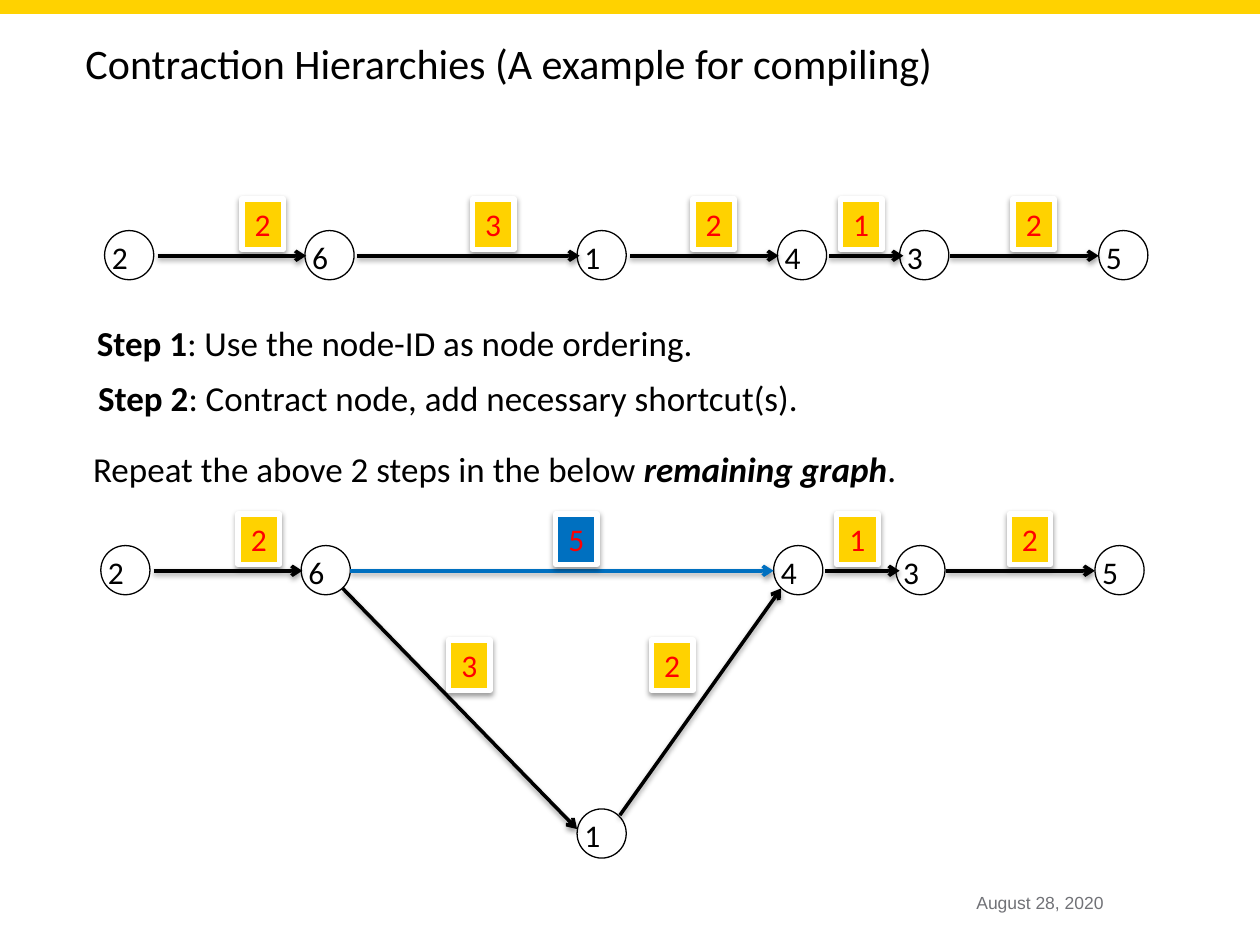
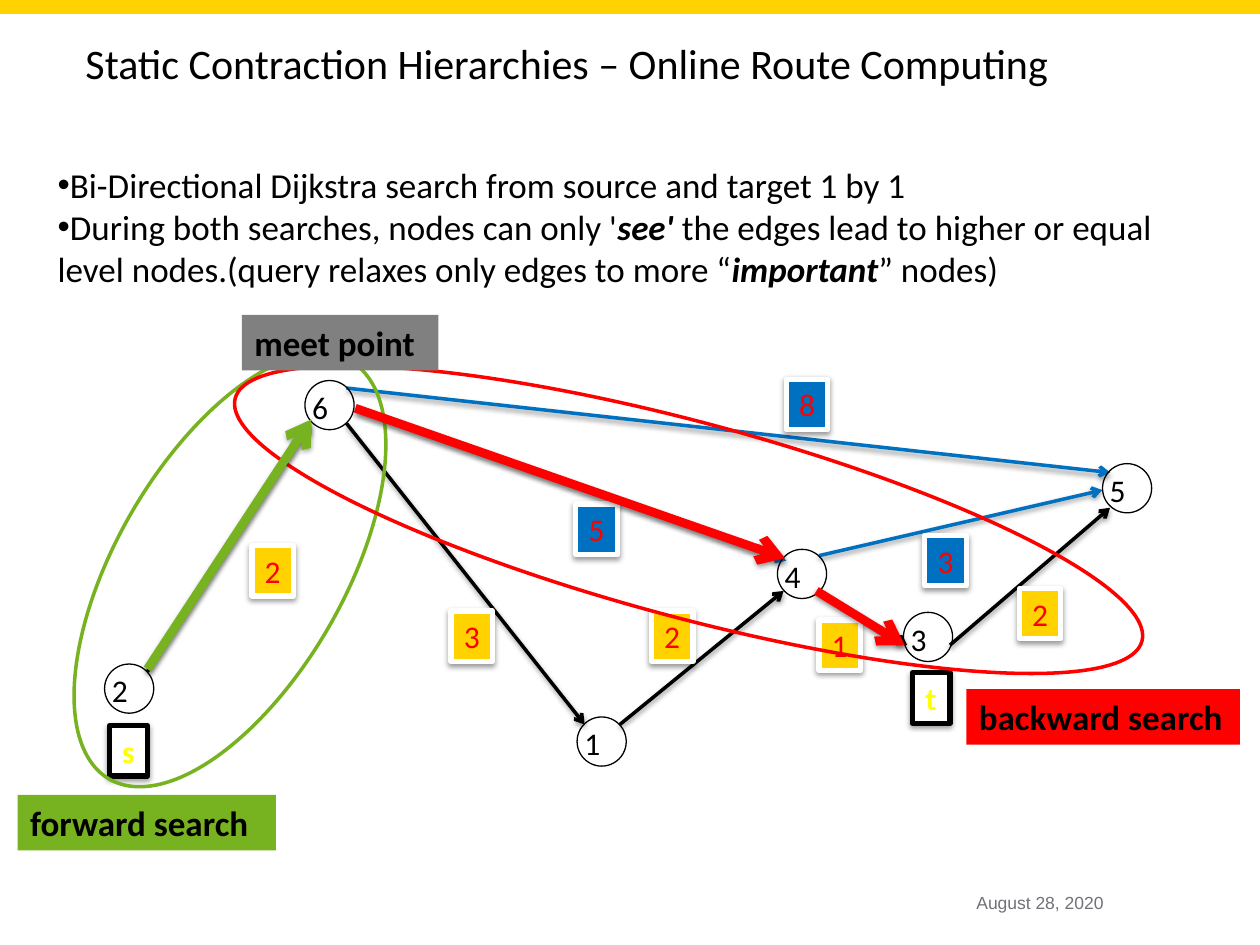
from lxml.etree import SubElement
from pptx import Presentation
from pptx.dml.color import RGBColor
from pptx.enum.shapes import MSO_CONNECTOR as LINE, MSO_SHAPE as SHAPE
from pptx.enum.text import MSO_ANCHOR as ANCHOR, MSO_AUTO_SIZE as FIT, PP_ALIGN as ALIGN
from pptx.oxml.ns import qn
from pptx.util import Inches, Pt

BLACK, WHITE, GOLD, BLUE = "000000", "FFFFFF", "FFD200", "0070C0"
GREEN, RED, GREY, YELLOW, DATE_GREY = "77B220", "FF0000", "808080", "FFFF00", "717277"
BOLD = {"bold": True}
BOLD_ITALIC = {"bold": True, "italic": True}
NODE_SIZE = 0.39


def rgb(color):
    return RGBColor.from_string(color)


class Deck:
    """Hold the shared style and the current slide."""

    def __init__(self):
        self.prs = Presentation()
        self.prs.slide_width, self.prs.slide_height = Inches(10), Inches(7.5)
        self.s = None

    def slide(self, title):
        self.s = self.prs.slides.add_slide(self.prs.slide_layouts[6])
        self.shape(SHAPE.RECTANGLE, (0, 0, 10, 0.11), fill=GOLD, line=GOLD)
        self.text((7.75, 7.08, 1.33, 0.28), [["August 28, 2020"]],
                  size=10, color=DATE_GREY, name="Arial", inset=0)
        self.text((0.58, 0.25, 8.68, 0.5), [[title]], size=24)

    def fill_text(self, sp, paragraphs, size=20, color=BLACK, name="Calibri", inset=None,
                  wrap=True, align=ALIGN.LEFT, bullet=None, **style):
        tf = sp.text_frame
        frame = {"word_wrap": wrap, "auto_size": FIT.NONE, "vertical_anchor": ANCHOR.TOP}
        if inset is not None:
            for side in ("left", "top", "right", "bottom"):
                frame[f"margin_{side}"] = Inches(inset)
        for key, value in frame.items():
            setattr(tf, key, value)
        for i, runs in enumerate(paragraphs):
            p = tf.add_paragraph() if i else tf.paragraphs[0]
            p.alignment = align
            if bullet:
                pPr = p._p.get_or_add_pPr()
                SubElement(pPr, qn("a:buFont"), typeface="Arial")
                SubElement(pPr, qn("a:buChar"), char=bullet)
            for run in runs:
                words, extra = (run, {}) if isinstance(run, str) else run
                r = p.add_run()
                r.text = words
                r.font.color.rgb = rgb(color)
                for key, value in {"size": Pt(size), "name": name, **style, **extra}.items():
                    setattr(r.font, key, value)

    def text(self, box, paragraphs, **style):
        sp = self.s.shapes.add_textbox(*map(Inches, box))
        self.fill_text(sp, paragraphs, **style)

    def shape(self, kind, box, fill=None, line=None, width=0.75, rotation=0):
        sp = self.s.shapes.add_shape(kind, *map(Inches, box))
        sp.shadow.inherit = False
        sp.rotation = rotation
        for part, color in ((sp.fill, fill), (sp.line.fill, line)):
            if color:
                part.solid()
                part.fore_color.rgb = rgb(color)
            else:
                part.background()
        if line:
            sp.line.width = Pt(width)
        return sp

    def shadow(self, effects):
        outer = SubElement(effects, qn("a:outerShdw"), blurRad=str(Pt(3.1)),
                           dist=str(Pt(1.6)), dir="5400000", rotWithShape="0")
        color = SubElement(outer, qn("a:srgbClr"), val=BLACK)
        SubElement(color, qn("a:alpha"), val="38000")

    def edge(self, start, end, color=BLACK, width=2):
        c = self.s.shapes.add_connector(LINE.STRAIGHT, *map(Inches, (*start, *end)))
        c.line.color.rgb = rgb(color)
        c.line.width = Pt(width)
        SubElement(c.line._get_or_add_ln(), qn("a:tailEnd"), type="arrow")
        self.shadow(SubElement(c._element.spPr, qn("a:effectLst")))

    def boxed(self, x, y, words, width=0.33, fill=GOLD, line=WHITE, color=RED, **style):
        sp = self.shape(SHAPE.RECTANGLE, (x, y, width, 0.4), fill, line, 3)
        self.shadow(sp._element.spPr.find(qn("a:effectLst")))
        self.fill_text(sp, [[words]], size=18, color=color, wrap=False,
                       align=ALIGN.CENTER, **style)

    def node(self, x, y, words):
        sp = self.shape(SHAPE.OVAL, (x, y, NODE_SIZE, NODE_SIZE), line=BLACK)
        self.fill_text(sp, [[words]], size=18, inset=0)

    def tag(self, x, y, width, words, fill):
        sp = self.shape(SHAPE.RECTANGLE, (x, y, width, 0.44), fill)
        self.fill_text(sp, [[words]], **BOLD)

    def chain(self, x, y):
        """Draw the nodes and edges that both stages of the graph share."""
        for start, end, label, weight in ((0.42, 1.6, 1.09, "2"), (5.75, 6.34, 5.84, "1"),
                                          (6.71, 7.89, 7.21, "2")):
            self.edge((x + start, y + 0.2), (x + end, y + 0.2))
            self.boxed(x + label, y - 0.25, weight)
        for dx, words in ((0, "2"), (1.59, "6"), (5.34, "4"), (6.31, "3"), (7.89, "5")):
            self.node(x + dx, y, words)


def compiling_slide(deck):
    deck.slide("Contraction Hierarchies (A example for compiling)")
    deck.chain(0.83, 1.83)
    for start, end, label, weight in ((2.83, 4.6, 3.75, "3"), (5, 6.18, 5.5, "2")):
        deck.edge((start, 2.03), (end, 2.03))
        deck.boxed(label, 1.58, weight)
    deck.node(4.58, 1.83, "1")

    for box, runs in (
        ((0.67, 2.5, 4.97, 0.44), [("Step 1", BOLD), ": Use the node-ID as node ordering."]),
        ((0.68, 2.94, 5.84, 0.44),
         [("Step 2", BOLD), ": Contract node, add necessary shortcut(s)."]),
        ((0.64, 3.5, 6.58, 0.44),
         ["Repeat the above 2 steps in the below ", ("remaining graph", BOLD_ITALIC), "."]),
    ):
        deck.text(box, [runs], wrap=False)

    deck.chain(0.8, 4.33)
    deck.edge((2.72, 4.67), (4.58, 6.58))
    deck.edge((4.92, 6.47), (6.2, 4.67))
    deck.edge((2.78, 4.53), (6.14, 4.53), BLUE)
    deck.boxed(3.56, 5.08, "3")
    deck.boxed(5.17, 5.08, "2")
    deck.boxed(4.41, 4.08, "5", fill=BLUE)
    deck.node(4.58, 6.42, "1")


def routing_slide(deck):
    deck.slide("Static Contraction Hierarchies – Online Route Computing")
    for start, end in (((2.83, 3.26), (6.24, 4.45)), ((6.5, 4.41), (8.75, 3.89)),
                       ((2.75, 3.08), (8.81, 3.75))):
        deck.edge(start, end, BLUE)
    for x, y, weight in ((4.57, 4, "5"), (7.34, 4.25, "3"), (6.24, 3.01, "8")):
        deck.boxed(x, y, weight, fill=BLUE)
    for start, end in (((1.17, 5.33), (2.47, 3.36)), ((4.92, 5.75), (6.22, 4.69)),
                       ((7.54, 5.12), (8.81, 4.03)), ((2.75, 3.36), (4.64, 5.75)),
                       ((6.5, 4.69), (7.2, 5.12))):
        deck.edge(start, end)
    for x, y, weight in ((2, 4.33, "2"), (6.5, 4.92, "1"), (5.17, 4.85, "2"),
                         (3.58, 4.85, "3"), (8.09, 4.67, "2")):
        deck.boxed(x, y, weight)
    for x, y, words in ((6.17, 4.36, "4"), (8.75, 3.68, "5"), (7.17, 4.86, "3"),
                        (4.58, 5.69, "1"), (2.42, 3.02, "6"), (0.83, 5.27, "2")):
        deck.node(x, y, words)
    for x, y, words in ((0.87, 5.76, "s"), (7.24, 5.34, "t")):
        deck.boxed(x, y, words, 0.3, WHITE, BLACK, YELLOW, **BOLD)

    deck.text((0.36, 1.25, 9.14, 1.11), [
        ["Bi-Directional Dijkstra search from source and target 1 by 1"],
        ["During both searches, nodes can only '", ("see' ", BOLD_ITALIC),
         "the edges lead to higher or equal level nodes.(query relaxes only edges to more “",
         ("important", BOLD_ITALIC), "” nodes)"],
    ], bullet="•")

    deck.shape(SHAPE.OVAL, (0.92, 2.61, 1.81, 3.83), line=GREEN, width=2, rotation=30)
    deck.shape(SHAPE.OVAL, (4.69, 0.4, 1.55, 7.45), line=RED, width=2, rotation=285)
    deck.tag(1.92, 2.5, 1.56, "meet point", GREY)
    for start, end, color in (((1.17, 5.31), (2.47, 3.33), GREEN),
                              ((6.48, 4.69), (7.18, 5.12), RED),
                              ((2.82, 3.24), (6.23, 4.43), RED)):
        deck.edge(start, end, color, 5)
    deck.tag(0.14, 6.31, 2.05, "forward search", GREEN)
    deck.tag(7.67, 5.47, 2.17, "backward search", RED)


def main():
    deck = Deck()
    compiling_slide(deck)
    routing_slide(deck)
    deck.prs.save("out.pptx")


if __name__ == "__main__":
    main()
